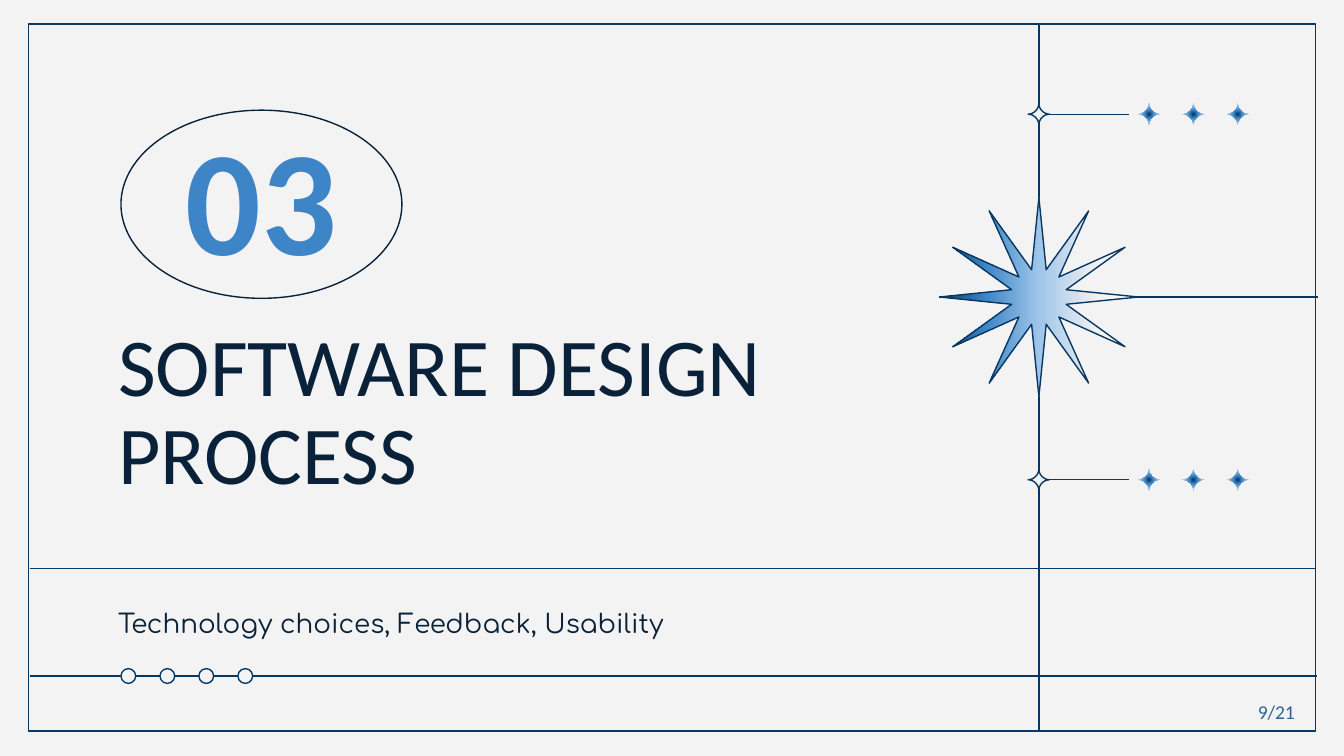
import math
from dataclasses import dataclass

from lxml import etree
from pptx import Presentation
from pptx.dml.color import RGBColor
from pptx.enum.shapes import MSO_CONNECTOR, MSO_SHAPE
from pptx.enum.text import MSO_ANCHOR, PP_ALIGN
from pptx.oxml import parse_xml
from pptx.oxml.ns import nsdecls, qn
from pptx.util import Inches, Pt

STRAIGHT = MSO_CONNECTOR.STRAIGHT
RECTANGLE, OVAL = MSO_SHAPE.RECTANGLE, MSO_SHAPE.OVAL
TOP, MIDDLE = MSO_ANCHOR.TOP, MSO_ANCHOR.MIDDLE
LEFT, CENTER = PP_ALIGN.LEFT, PP_ALIGN.CENTER


@dataclass(frozen=True)
class Theme:
    paper: str = "F3F3F3"
    rule: str = "073763"
    ink: str = "092139"
    accent: str = "3D85C6"
    page: str = "2C6496"
    heading_font: str = "Calibri"
    body_font: str = "Comfortaa"
    number_size: float = 80
    title_size: float = 44
    subtitle_size: float = 14
    page_size: float = 10.5
    rule_width: float = 0.75
    sparkle_stops: tuple = ((0, "073763"), (25, "3D85C6"), (60, "9FC5E8"), (100, "F3F3F3"))
    burst_stops: tuple = ((0, "FFFFFF"), (20, "F3F3F3"), (50, "9FC5E8"),
                          (77, "3D85C6"), (100, "073763"))


THEME = Theme()
RADIAL = ('<a:path path="circle"><a:fillToRect l="50000" t="50000" r="50000" b="50000"/>'
          '</a:path>')
RIGHT_TO_LEFT = '<a:lin ang="10800000" scaled="0"/>'


def color(value):
    return RGBColor.from_string(value)


def style(shape, fill=None, line=None):
    shape.shadow.inherit = False
    if fill:
        shape.fill.solid()
        shape.fill.fore_color.rgb = color(fill)
    else:
        shape.fill.background()
    if line:
        shape.line.color.rgb = color(line)
        shape.line.width = Pt(THEME.rule_width)
    else:
        shape.line.fill.background()


def apply_gradient(shape, stops, direction):
    shape.fill.gradient()
    gradient = shape._element.spPr.find(qn("a:gradFill"))
    stop_xml = "".join(f'<a:gs pos="{pos * 1000}"><a:srgbClr val="{value}"/></a:gs>'
                       for pos, value in stops)
    gradient.getparent().replace(gradient, parse_xml(
        f'<a:gradFill {nsdecls("a")} rotWithShape="1"><a:gsLst>{stop_xml}</a:gsLst>'
        f'{direction}</a:gradFill>'))


def add_rule(slide, x1, y1, x2, y2):
    rule = slide.shapes.add_connector(STRAIGHT, Inches(x1), Inches(y1), Inches(x2), Inches(y2))
    rule.line.color.rgb = color(THEME.rule)
    rule.line.width = Pt(THEME.rule_width)
    etree.SubElement(rule._element.spPr, qn("a:effectLst"))


def add_preset(slide, kind, x, y, w, h, fill=None, line=THEME.rule):
    shape = slide.shapes.add_shape(kind, Inches(x), Inches(y), Inches(w), Inches(h))
    style(shape, fill, line)


def add_outline(slide, points):
    start, *rest = [(Inches(x), Inches(y)) for x, y in points]
    builder = slide.shapes.build_freeform(*start)
    builder.add_line_segments(rest, close=True)
    return builder.convert_to_shape()


def add_text(slide, x, y, w, h, text, size, ink, font=THEME.heading_font, bold=False,
             align=LEFT, anchor=TOP, spacing=None, inset=0.1, wrap=True):
    frame = slide.shapes.add_textbox(Inches(x), Inches(y), Inches(w), Inches(h)).text_frame
    frame.word_wrap = wrap
    frame.vertical_anchor = anchor
    frame.margin_left = frame.margin_right = Inches(0.1)
    frame.margin_top = frame.margin_bottom = Inches(inset)
    paragraph = frame.paragraphs[0]
    paragraph.text = text
    paragraph.alignment = align
    if spacing:
        paragraph.line_spacing = spacing
    paragraph.font.name = font
    paragraph.font.size = Pt(size)
    paragraph.font.bold = bold
    paragraph.font.color.rgb = color(ink)


def add_sparkle(slide, cx, cy, radius):
    steps, pull = 8, 0.47
    points = []
    for quarter in range(4):
        turn = quarter * math.pi / 2
        for step in range(steps):
            t = step / steps
            u = (1 - t) ** 3 + 3 * (1 - t) ** 2 * t * pull
            v = t ** 3 + 3 * t ** 2 * (1 - t) * pull
            points.append((cx + radius * (u * math.cos(turn) - v * math.sin(turn)),
                           cy + radius * (u * math.sin(turn) + v * math.cos(turn))))
    return add_outline(slide, points)


def sparkle_row(slide, cx, cy):
    radius = 0.08
    style(add_sparkle(slide, cx, cy, radius), THEME.paper, THEME.rule)
    add_rule(slide, cx + 0.67, cy, cx + radius, cy)
    for index in range(3):
        sparkle = add_sparkle(slide, cx + 0.82 + 0.33 * index, cy, radius)
        style(sparkle)
        apply_gradient(sparkle, THEME.sparkle_stops, RADIAL)


def starburst(slide, cx, cy, outer, inner):
    points = []
    for index in range(24):
        radius = inner if index % 2 else outer
        angle = index * math.pi / 12
        points.append((cx + radius * math.cos(angle), cy + radius * math.sin(angle)))
    burst = add_outline(slide, points)
    style(burst, line=THEME.rule)
    apply_gradient(burst, THEME.burst_stops, RIGHT_TO_LEFT)


def page_frame(slide, x, y, w, h):
    axis, burst_y = x + 7.52, y + 2.03
    add_preset(slide, RECTANGLE, x, y, w, h)
    add_rule(slide, axis, y, axis, y + h)
    add_rule(slide, axis, burst_y, x + w + 0.02, burst_y)
    for offset in (0.67, 3.39):
        sparkle_row(slide, axis, y + offset)
    starburst(slide, axis, burst_y, 0.74, 0.21)


def section_heading(slide, x, y, number, title):
    add_preset(slide, OVAL, x + 0.12, y, 2.09, 1.4, line=THEME.ink)
    add_text(slide, x, y + 1.5, 5.11, 1.48, title, THEME.title_size, THEME.ink, spacing=0.9)
    add_text(slide, x + 0.16, y + 0.18, 2.01, 0.92, number, THEME.number_size, THEME.accent,
             bold=True, align=CENTER, anchor=MIDDLE)


def footer_band(slide, x, y, w, h, subtitle, page):
    diameter, pitch = 0.11, 0.29
    add_rule(slide, x, y + h, x + w, y + h)
    add_rule(slide, x, y, x + w - 0.01, y)
    add_text(slide, x + 0.56, y + 0.19, 5.11, 0.42, subtitle, THEME.subtitle_size, THEME.ink,
             font=THEME.body_font)
    for index in range(4):
        add_preset(slide, OVAL, x + 0.68 + pitch * index, y + h - diameter / 2,
                   diameter, diameter, fill=THEME.paper)
    add_text(slide, x + 9.04, y + 0.93, 0.52, 0.28, page, THEME.page_size, THEME.page,
             inset=0.05, wrap=False)


def main():
    deck = Presentation()
    deck.slide_width = Inches(10)
    deck.slide_height = Inches(10 * 9 / 16)
    slide = deck.slides.add_slide(deck.slide_layouts[6])
    slide.background.fill.solid()
    slide.background.fill.fore_color.rgb = color(THEME.paper)
    page_frame(slide, 0.21, 0.18, 9.58, 5.26)
    section_heading(slide, 0.78, 0.82, "03", "SOFTWARE DESIGN PROCESS")
    footer_band(slide, 0.22, 4.23, 9.58, 0.8, "Technology choices, Feedback, Usability", "9/21")
    deck.save("out.pptx")


if __name__ == "__main__":
    main()
